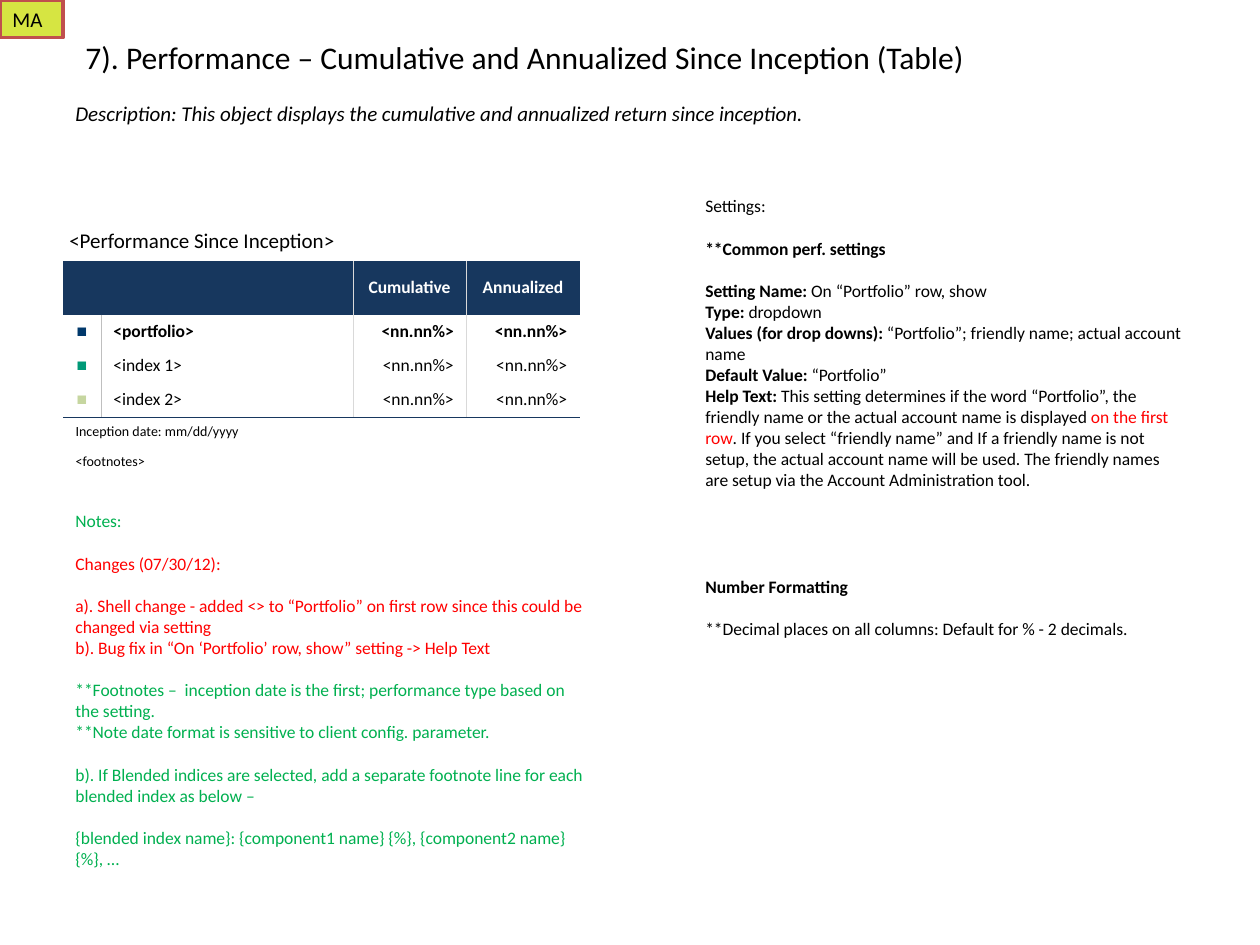
from lxml.etree import SubElement
from pptx import Presentation
from pptx.dml.color import RGBColor
from pptx.enum.shapes import MSO_SHAPE
from pptx.enum.text import MSO_ANCHOR, MSO_AUTO_SIZE, PP_ALIGN
from pptx.oxml.ns import qn
from pptx.util import Inches, Pt

BLACK, WHITE, RED, GREEN = "000000", "FFFFFF", "FF0000", "00B050"
NAVY, LIGHT_GRAY, GRAY = "17375E", "D9D9D9", "BFBFBF"
LINE_PITCH = 12.2  # one line of 10 point text
LEFT, CENTER, RIGHT = PP_ALIGN.LEFT, PP_ALIGN.CENTER, PP_ALIGN.RIGHT


def rgb(value):
    return RGBColor.from_string(value)


def write(paragraph, text, size=10, color=BLACK, bold=False, italic=False,
          font="Calibri", align=LEFT):
    paragraph.alignment = align
    run = paragraph.add_run()
    run.text = text
    run.font.name = font
    run.font.size = Pt(size)
    run.font.bold = bold
    run.font.italic = italic
    run.font.color.rgb = rgb(color)


def write_lines(text_frame, lines):
    """Each line is (blank lines above, [(text, format), ...])."""
    for index, (gap, runs) in enumerate(lines):
        paragraph = text_frame.add_paragraph() if index else text_frame.paragraphs[0]
        if gap:
            paragraph.space_before = Pt(gap * LINE_PITCH)
        for text, style in runs:
            write(paragraph, text, **style)


def add_box(slide, box, fill=None, line=None, anchor=MSO_ANCHOR.TOP, wrap=True):
    position = [Inches(length) for length in box]
    if fill:
        shape = slide.shapes.add_shape(MSO_SHAPE.RECTANGLE, *position)
        shape.shadow.inherit = False
        shape.fill.solid()
        shape.fill.fore_color.rgb = rgb(fill)
        if line:
            shape.line.color.rgb = rgb(line)
            shape.line.width = Pt(2)
        else:
            shape.line.fill.background()
    else:
        shape = slide.shapes.add_textbox(*position)
    text_frame = shape.text_frame
    text_frame.word_wrap = wrap
    text_frame.auto_size = MSO_AUTO_SIZE.SHAPE_TO_FIT_TEXT
    text_frame.vertical_anchor = anchor
    return text_frame


def set_borders(cell, **colors):
    """Draw the named sides (L, R, T, B) and hide the others."""
    properties = cell._tc.get_or_add_tcPr()
    for index, side in enumerate("LRTB"):
        line = properties.makeelement(qn(f"a:ln{side}"), {"w": str(Pt(0.23))})
        properties.insert(index, line)
        if colors.get(side):
            fill = SubElement(line, qn("a:solidFill"))
            SubElement(fill, qn("a:srgbClr"), val=colors[side])
        else:
            SubElement(line, qn("a:noFill"))


def add_performance_table(slide, box):
    widths = [0.3, 2, 0.9, 0.9]
    heights = [0.32, 0.43, 0.27, 0.27, 0.27, 0.2, 0.2]
    frame = slide.shapes.add_table(
        len(heights), len(widths), *[Inches(length) for length in box])
    table = frame.table
    table.first_row = table.horz_banding = False
    for column, width in zip(table.columns, widths):
        column.width = Inches(width)
    for row, height in zip(table.rows, heights):
        row.height = Inches(height)

    # Fills and borders: inner verticals in rows 1 to 4, a rule below row 4
    for row in range(len(heights)):
        for column in range(len(widths)):
            cell = table.cell(row, column)
            cell.vertical_anchor = MSO_ANCHOR.MIDDLE
            if row:
                cell.fill.solid()
                cell.fill.fore_color.rgb = rgb(NAVY if row == 1 else WHITE)
            else:
                cell.fill.background()
            edges = [None, GRAY if row > 1 else None, LIGHT_GRAY, LIGHT_GRAY, None]
            if row not in range(1, 5):
                edges = [None] * 5
            set_borders(cell, L=edges[column], R=edges[column + 1],
                        T=NAVY if row == 5 else None,
                        B=NAVY if row == 4 else None)

    def fill_cell(row, column, text, **style):
        write(table.cell(row, column).text_frame.paragraphs[0], text, **style)

    # Title and footnote rows span the table
    for row, text, size in [(0, "<Performance Since Inception>", 12),
                            (5, "Inception date: mm/dd/yyyy", 8),
                            (6, "<footnotes>", 8)]:
        table.cell(row, 0).merge(table.cell(row, 3))
        fill_cell(row, 0, text, size=size)
    table.cell(0, 0).vertical_anchor = MSO_ANCHOR.BOTTOM
    table.cell(0, 0).margin_left = Inches(0.05)

    # Column headings
    table.cell(1, 0).merge(table.cell(1, 1))
    for column, text in enumerate(["Cumulative", "Annualized"], start=2):
        fill_cell(1, column, text, color=WHITE, bold=True, align=CENTER)

    # Portfolio and index rows
    series = [("<portfolio>", "00386B"), ("<index 1>", "009977"), ("<index 2>", "C6D6A0")]
    for row, (name, color) in enumerate(series, start=2):
        bold = row == 2
        fill_cell(row, 0, "■", color=color, font="Arial", align=CENTER)
        fill_cell(row, 1, name, bold=bold)
        for column in (2, 3):
            fill_cell(row, column, "<nn.nn%>", bold=bold, align=RIGHT)


def add_heading(slide, title_box, description_box):
    title = add_box(slide, title_box, wrap=False)
    write(title.paragraphs[0],
          "7). Performance – Cumulative and Annualized Since Inception (Table)", size=18)
    description = add_box(slide, description_box, anchor=MSO_ANCHOR.MIDDLE)
    write(description.paragraphs[0],
          "Description: This object displays the cumulative and annualized return "
          "since inception.", size=12, italic=True)


def add_settings(slide, box):
    bold, plain = {"bold": True}, {}
    write_lines(add_box(slide, box, fill=WHITE), [
        (0, [("Settings:", plain)]),
        (1, [("**Common perf. settings", bold)]),
        (1, [("Setting Name:", bold), (" On “Portfolio” row, show", plain)]),
        (0, [("Type:", bold), (" dropdown", plain)]),
        (0, [("Values (for drop downs): ", bold),
             ("“Portfolio”; friendly name; actual account name", plain)]),
        (0, [("Default Value:", bold), (" “Portfolio”", plain)]),
        (0, [("Help Text: ", bold),
             ("This setting determines if the word “Portfolio”, the friendly name or "
              "the actual account name is displayed", plain),
             (" on the first row", {"color": RED}),
             (". If you select “friendly name” and If a friendly name is not setup, "
              "the actual account name will be used. The friendly names are setup via "
              "the Account Administration tool.", plain)]),
        (4, [("Number Formatting", bold)]),
        (1, [("**Decimal places on all columns: Default for % - 2 decimals.", plain)]),
    ])


def add_notes_text(slide, box):
    notes = [
        (0, GREEN, "Notes:"),
        (1, RED, "Changes (07/30/12):"),
        (1, RED, "a). Shell change - added <> to “Portfolio” on first row since this "
                 "could be changed via setting"),
        (0, RED, "b). Bug fix in “On ‘Portfolio’ row, show” setting -> Help Text"),
        (1, GREEN, "**Footnotes –  inception date is the first; performance type based "
                   "on the setting."),
        (0, GREEN, "**Note date format is sensitive to client config. parameter."),
        (1, GREEN, "b). If Blended indices are selected, add a separate footnote line "
                   "for each blended index as below –"),
        (1, GREEN, "{blended index name}: {component1 name} {%}, {component2 name} {%}, …"),
    ]
    write_lines(add_box(slide, box),
                [(gap, [(text, {"color": color})]) for gap, color, text in notes])


def add_tag(slide, box):
    tag = add_box(slide, box, fill="D6E542", line="C0504D")
    write(tag.paragraphs[0], "MA", size=12)


def main():
    presentation = Presentation()
    presentation.slide_width = Inches(10)
    presentation.slide_height = Inches(7.5)
    slide = presentation.slides.add_slide(presentation.slide_layouts[6])
    add_performance_table(slide, (0.5, 1.75, 4.1, 1.96))
    add_heading(slide, (0.58, 0.25, 7.21, 0.4), (0.5, 0.75, 8.5, 0.3))
    add_settings(slide, (5.5, 1.5, 4, 4.11))
    add_notes_text(slide, (0.5, 4, 4.25, 3.61))
    add_tag(slide, (0, 0, 0.5, 0.3))
    presentation.save("out.pptx")


if __name__ == "__main__":
    main()
